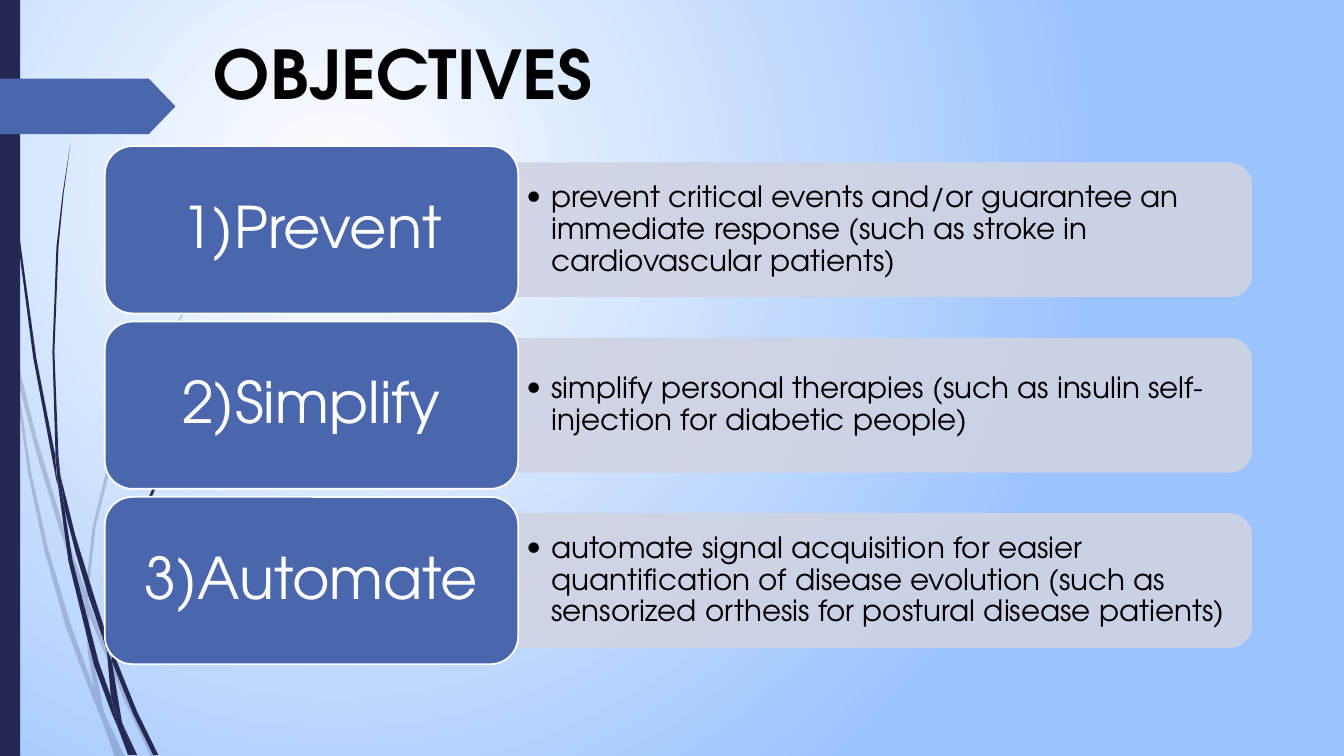
import lxml.etree
import pptx
import pptx.dml.color
import pptx.enum.shapes
import pptx.enum.text
import pptx.oxml
import pptx.oxml.ns
import pptx.util

Inches = pptx.util.Inches
Pt = pptx.util.Pt
qn = pptx.oxml.ns.qn
SHAPES = pptx.enum.shapes.MSO_SHAPE
ALIGN = pptx.enum.text.PP_ALIGN
ANCHOR = pptx.enum.text.MSO_ANCHOR

FONT = "TeX Gyre Adventor"
COLORS = {
    "white": "FFFFFF",
    "sky": "9BC3FE",
    "navy": "242852",
    "blue": "4A66AC",
    "mist": "D0D3E3",
    "black": "000000",
}
OBJECTIVES = [
    ("1)Prevent", "prevent critical events and/or guarantee an immediate response "
     "(such as stroke in cardiovascular patients)"),
    ("2)Simplify", "simplify personal therapies (such as insulin self-injection "
     "for diabetic people)"),
    ("3)Automate", "automate signal acquisition for easier quantification of disease "
     "evolution (such as sensorized orthesis for postural disease patients)"),
]
FIRST_TOP = 1.45
ROW_STEP = 1.74
CARD_LEFT, CARD_WIDTH, CARD_HEIGHT = 1.04, 4.1, 1.66
BAR_LEFT, BAR_WIDTH, BAR_HEIGHT = 5.13, 7.28, 1.32
DETAIL_WIDTH, DETAIL_HEIGHT = 7.22, 1.2

FAINT_BLADES = [
    [(0.11, 3.5), (0.09, 3.22), (0, 2.82), (0, 2.99), (0.1, 3.44)],
    [(0.58, 5.22), (0.84, 5.99), (0.85, 5.86), (0.62, 5.2), (0.36, 4.33), (0.14, 3.45),
     (0.17, 3.76), (0.36, 4.49)],
    [(0.92, 6.07), (0.88, 5.96), (0.88, 6.1), (1.23, 6.94), (1.5, 7.51), (1.55, 7.51),
     (1.27, 6.92)],
    [(1.19, 7.51), (1.24, 7.51), (1.05, 7.11)],
    [(0.93, 6.83), (0.7, 6.19), (0.48, 5.45), (0.31, 4.69), (0.17, 3.76), (0.11, 3.5),
     (0.28, 4.7), (0.44, 5.46), (0.65, 6.21), (0.92, 6.93), (1.01, 7.14), (0.99, 7.07)],
    [(0.84, 5.99), (0.87, 6.46), (0.93, 6.83), (0.96, 6.92), (1.05, 7.11), (1.03, 7.06),
     (0.91, 6.46), (0.88, 6.1), (0.88, 6.08)],
    [(0.88, 5.84), (0.95, 5.22), (1.1, 4.62), (1.32, 4.05), (1.6, 3.49), (1.92, 2.95),
     (2.29, 2.45), (2.68, 1.98), (2.9, 1.75), (3.12, 1.54), (3.12, 1.53), (2.89, 1.75),
     (2.68, 1.97), (2.28, 2.44), (1.91, 2.94), (1.58, 3.48), (1.29, 4.03), (1.07, 4.61),
     (0.92, 5.22), (0.85, 5.84), (0.85, 5.86), (0.88, 5.96)],
    [(1.01, 7.14), (1.14, 7.51), (1.19, 7.51)],
    [(0.88, 6.08), (0.88, 6.1), (0.88, 5.96), (0.85, 5.86), (0.84, 5.99)],
    [(0.96, 6.92), (0.93, 6.83), (0.99, 7.07), (1.01, 7.14), (1.19, 7.51), (1.05, 7.11)],
]
DARK_BLADES = [
    [(0.07, 1.1), (0.17, 2.33), (0.33, 3.55), (0.56, 4.77), (0.57, 4.81), (0.55, 4.57),
     (0.55, 4.53), (0.36, 3.55), (0.19, 2.32), (0.08, 1.09), (0.05, 0.48), (0.04, 0),
     (0.03, 0), (0.04, 0.48)],
    [(0.88, 5.92), (1.06, 6.45), (1.06, 6.33), (1.06, 6.31), (0.93, 5.9), (0.75, 5.32),
     (0.6, 4.72), (0.64, 5.05), (0.75, 5.48)],
    [(1.13, 6.49), (1.1, 6.41), (1.11, 6.56), (1.32, 7.08), (1.52, 7.49), (1.57, 7.49),
     (1.36, 7.06)],
    [(1.1, 6.91), (0.98, 6.57), (0.72, 5.56), (0.64, 5.05), (0.57, 4.77), (0.68, 5.57),
     (0.93, 6.59), (1.11, 7.08), (1.17, 7.22), (1.16, 7.17)],
    [(0.6, 4.72), (0.58, 4.53), (0.54, 3.49), (0.58, 2.45), (0.63, 1.93), (0.7, 1.41),
     (0.62, 1.93), (0.56, 2.45), (0.52, 3.49), (0.55, 4.49)],
    [(1.33, 7.49), (1.36, 7.49), (1.22, 7.19)],
    [(0.57, 4.77), (0.64, 5.05), (0.6, 4.72), (0.55, 4.49), (0.55, 4.53)],
    [(1.11, 6.33), (1.15, 5.92), (1.25, 5.52), (1.58, 4.76), (2.05, 4.06), (2.31, 3.74),
     (2.45, 3.59), (2.61, 3.44), (2.6, 3.44), (2.45, 3.58), (2.31, 3.73), (2.04, 4.05),
     (1.56, 4.74), (1.22, 5.51), (1.11, 5.91), (1.06, 6.31), (1.1, 6.41)],
    [(1.17, 7.22), (1.27, 7.49), (1.31, 7.49)],
    [(1.06, 6.45), (1.1, 6.91), (1.16, 7.06), (1.22, 7.19), (1.21, 7.16), (1.11, 6.56),
     (1.09, 6.51)],
    [(1.16, 7.06), (1.1, 6.91), (1.16, 7.17), (1.17, 7.22), (1.3, 7.49), (1.33, 7.49),
     (1.22, 7.19)],
]


def rgb(name):
    return pptx.dml.color.RGBColor.from_string(COLORS[name])


def paint(shape, color, line=None, opacity=100):
    shape.shadow.inherit = False
    shape.fill.solid()
    shape.fill.fore_color.rgb = rgb(color)
    if line:
        shape.line.color.rgb = rgb(line)
        shape.line.width = Pt(1.25)
    else:
        shape.line.fill.background()
    if opacity < 100:
        for tone in shape._element.spPr.iter(qn("a:srgbClr")):
            lxml.etree.SubElement(tone, qn("a:alpha")).set("val", str(opacity * 1000))


def add_block(page, kind, left, top, width, height):
    return page.shapes.add_shape(kind, Inches(left), Inches(top), Inches(width), Inches(height))


def set_frame(frame, anchor, side, end):
    frame.word_wrap = True
    frame.auto_size = pptx.enum.text.MSO_AUTO_SIZE.NONE
    frame.vertical_anchor = anchor
    frame.margin_left = frame.margin_right = Inches(side)
    frame.margin_top = frame.margin_bottom = Inches(end)


def write(para, text, size, color, align, bold=False, spacing=0.9):
    para.alignment = align
    para.line_spacing = spacing
    span = para.add_run()
    span.text = text
    span.font.name = FONT
    span.font.size = Pt(size)
    span.font.bold = bold
    span.font.color.rgb = rgb(color)


def add_bullet(para):
    properties = para._p.get_or_add_pPr()
    properties.set("marL", str(Inches(0.25)))
    properties.set("indent", str(-Inches(0.25)))
    lxml.etree.SubElement(properties, qn("a:buFont")).set("typeface", FONT)
    lxml.etree.SubElement(properties, qn("a:buChar")).set("char", "•")


def set_background(page):
    fill = page.background.fill
    fill.gradient()
    for stop, color in zip(fill.gradient_stops, ("white", "sky")):
        stop.color.rgb = rgb(color)
    gradient = next(page._element.iter(qn("a:gradFill")))
    gradient.remove(gradient.find(qn("a:lin")))
    sweep = lxml.etree.SubElement(gradient, qn("a:path"))
    sweep.set("path", "circle")
    center = lxml.etree.SubElement(sweep, qn("a:fillToRect"))
    for side, share in zip("ltrb", (50, 50, 100, 100)):
        center.set(side, str(share * 1000))


def add_blade(page, points, opacity):
    outline = [(Inches(x), Inches(y)) for x, y in points]
    builder = page.shapes.build_freeform(*outline[0])
    builder.add_line_segments(outline[1:], close=True)
    paint(builder.convert_to_shape(), "navy", opacity=opacity)


def add_decoration(page):
    for blades, opacity in ((FAINT_BLADES, 20), (DARK_BLADES, 100)):
        for points in blades:
            add_blade(page, points, opacity)
    paint(add_block(page, SHAPES.RECTANGLE, 0, 0, 0.2, 7.5), "navy")
    tag = add_block(page, SHAPES.PENTAGON, 0, 0.78, 1.74, 0.55)
    tag.adjustments[0] = 0.48
    paint(tag, "blue")


def set_title(page, text):
    title = page.shapes.title
    title.left, title.top = Inches(2.02), Inches(0.27)
    title.width, title.height = Inches(11.5), Inches(1.45)
    set_frame(title.text_frame, ANCHOR.TOP, 0.1, 0.05)
    write(title.text_frame.paragraphs[0], text, 48, "black", ALIGN.LEFT, True, 1.0)
    page.shapes._spTree.append(title._element)


def add_objective(page, top, name, detail):
    middle = top + CARD_HEIGHT / 2
    bar = add_block(page, SHAPES.ROUND_2_SAME_RECTANGLE,
                    BAR_LEFT + (BAR_WIDTH - BAR_HEIGHT) / 2, middle - BAR_WIDTH / 2,
                    BAR_HEIGHT, BAR_WIDTH)
    bar.rotation = 90
    paint(bar, "mist", "mist", 90)

    box = page.shapes.add_textbox(Inches(BAR_LEFT), Inches(middle - DETAIL_HEIGHT / 2),
                                  Inches(DETAIL_WIDTH), Inches(DETAIL_HEIGHT))
    set_frame(box.text_frame, ANCHOR.MIDDLE, 0.09, 0.04)
    para = box.text_frame.paragraphs[0]
    write(para, detail, 21, "black", ALIGN.LEFT)
    add_bullet(para)

    card = add_block(page, SHAPES.ROUNDED_RECTANGLE, CARD_LEFT, top, CARD_WIDTH, CARD_HEIGHT)
    paint(card, "blue", "white")
    set_frame(card.text_frame, ANCHOR.MIDDLE, 0.17, 0.09)
    write(card.text_frame.paragraphs[0], name, 41, "white", ALIGN.CENTER)


def main():
    deck = pptx.Presentation()
    deck.slide_width, deck.slide_height = Inches(13.33), Inches(7.5)
    page = deck.slides.add_slide(deck.slide_layouts[5])
    set_background(page)
    add_decoration(page)
    set_title(page, "OBJECTIVES")
    for row, (name, detail) in enumerate(OBJECTIVES):
        add_objective(page, FIRST_TOP + row * ROW_STEP, name, detail)
    deck.save("out.pptx")


if __name__ == "__main__":
    main()
